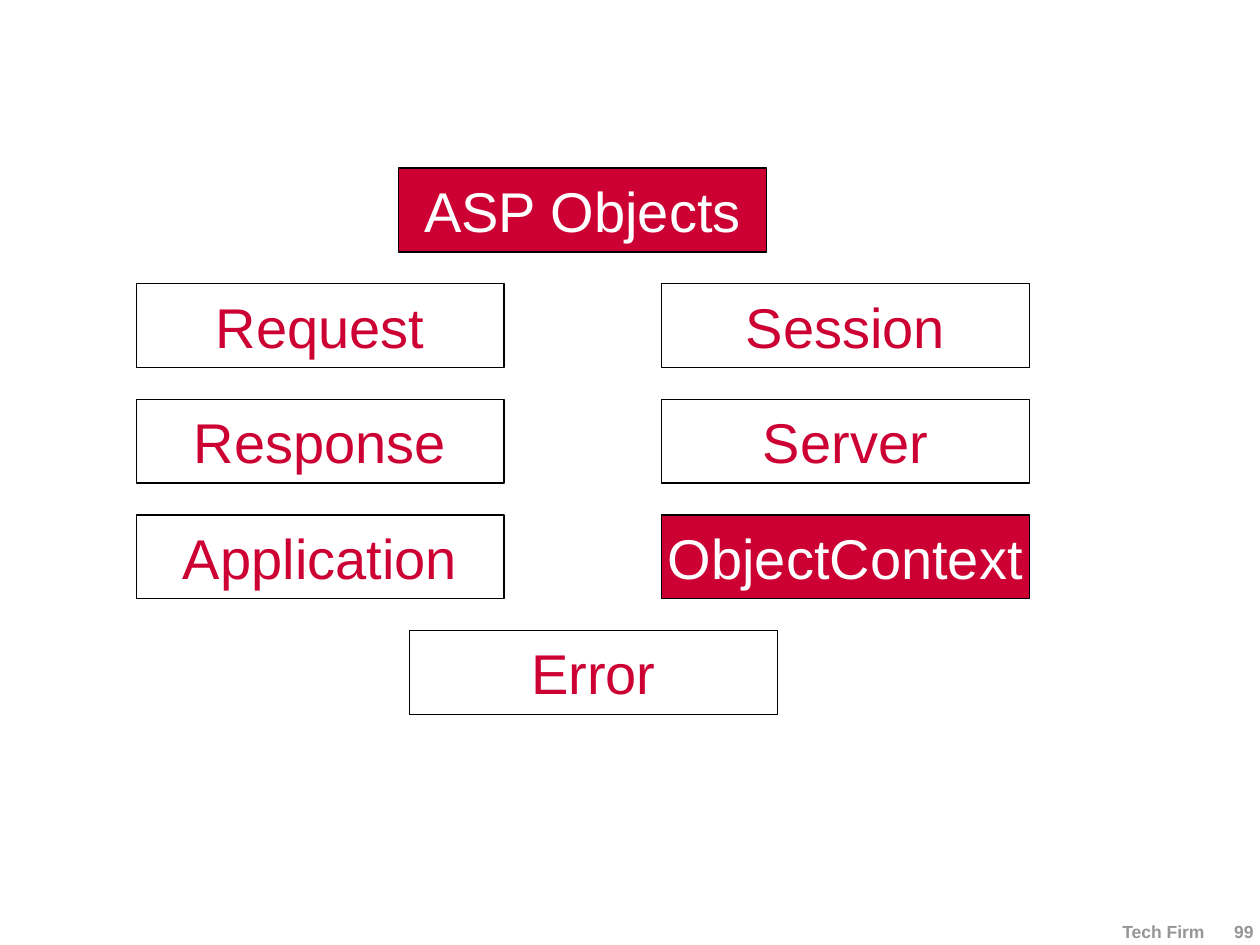
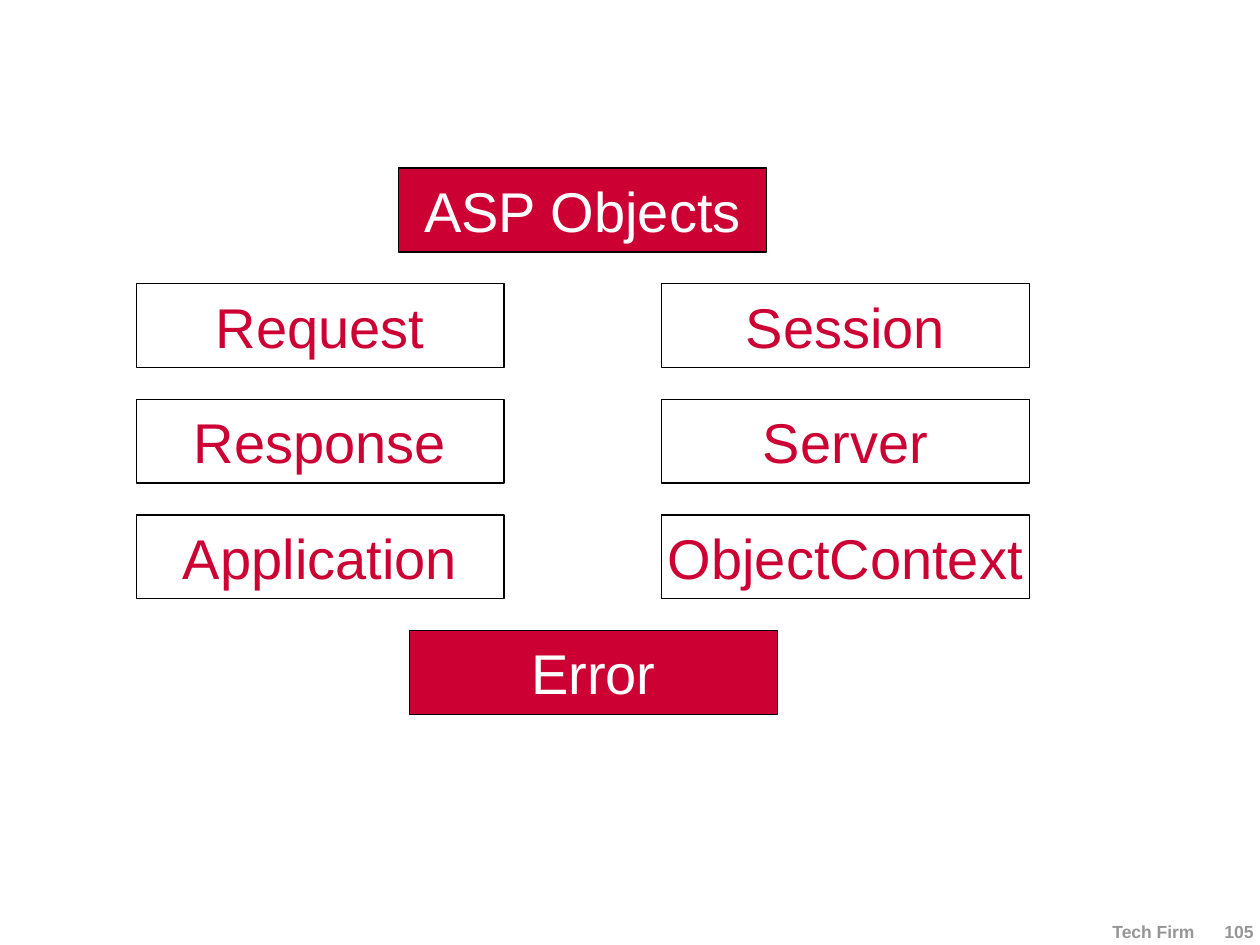
from pptx import Presentation
from pptx.dml.color import RGBColor
from pptx.enum.shapes import MSO_SHAPE as Shape
from pptx.enum.text import MSO_ANCHOR as Anchor, PP_ALIGN as Align
from pptx.util import Cm, Pt

# Grid of object boxes, in cm
BOX_W, BOX_H = 7.41, 1.69
TOP, PITCH = 3.39, 2.33
LEFT_X, RIGHT_X = 2.75, 13.34
HEADING = "ASP Objects"
BOXES = [  # name, left, row
    (HEADING, 8.04, 0),
    ("Request", LEFT_X, 1),
    ("Response", LEFT_X, 2),
    ("Application", LEFT_X, 3),
    ("Session", RIGHT_X, 1),
    ("Server", RIGHT_X, 2),
    ("ObjectContext", RIGHT_X, 3),
    ("Error", 8.26, 4),
]

# Footer, in cm
FOOTER_RIGHT, FOOTER_TOP, FOOTER_H = 25.27, 18.57, 0.43
DIGIT_W, FOOTER_GAP = 0.2, 0.59


def color(hex_string):
    return RGBColor.from_string(hex_string)


def write(tf, text, size=32, fill="000000", bold=False, align=Align.CENTER,
          anchor=Anchor.MIDDLE):
    tf.word_wrap = False
    tf.vertical_anchor = anchor
    p = tf.paragraphs[0]
    p.alignment = align
    r = p.add_run()
    r.text = text
    r.font.name = "Arial"
    r.font.size = Pt(size)
    r.font.bold = bold
    r.font.color.rgb = color(fill)


class Deck:
    RED, WHITE, BLACK, GRAY = "CC0033", "FFFFFF", "000000", "969696"

    def __init__(self):
        self.prs = Presentation()
        self.prs.slide_width, self.prs.slide_height = Cm(25.4), Cm(19.05)
        self.s = None

    def new_slide(self):
        self.s = self.prs.slides.add_slide(self.prs.slide_layouts[6])

    def box(self, text, x, y, active):
        sp = self.s.shapes.add_shape(Shape.RECTANGLE, Cm(x), Cm(y), Cm(BOX_W), Cm(BOX_H))
        sp.shadow.inherit = False
        if active:
            sp.fill.solid()
            sp.fill.fore_color.rgb = color(self.RED)
        else:
            sp.fill.background()
        sp.line.color.rgb = color(self.BLACK)
        sp.line.width = Pt(0.75)
        write(sp.text_frame, text, fill=self.WHITE if active else self.RED)

    def footer_text(self, text, right, width):
        sp = self.s.shapes.add_textbox(Cm(right - width), Cm(FOOTER_TOP), Cm(width), Cm(FOOTER_H))
        tf = sp.text_frame
        tf.margin_left = tf.margin_right = tf.margin_top = tf.margin_bottom = 0
        write(tf, text, size=10, fill=self.GRAY, bold=True, align=Align.RIGHT,
              anchor=Anchor.BOTTOM)

    def footer(self, number):
        number_w = DIGIT_W * len(str(number))
        self.footer_text("Tech Firm", FOOTER_RIGHT - number_w - FOOTER_GAP, 4)
        self.footer_text(str(number), FOOTER_RIGHT, number_w)

    def objects_slide(self, number, current):
        self.new_slide()
        self.footer(number)
        for name, x, row in BOXES:
            self.box(name, x, TOP + row * PITCH, name in (HEADING, current))


def main():
    deck = Deck()
    # Each slide highlights the object discussed next
    deck.objects_slide(99, "ObjectContext")
    deck.objects_slide(105, "Error")
    deck.prs.save("out.pptx")


if __name__ == "__main__":
    main()
